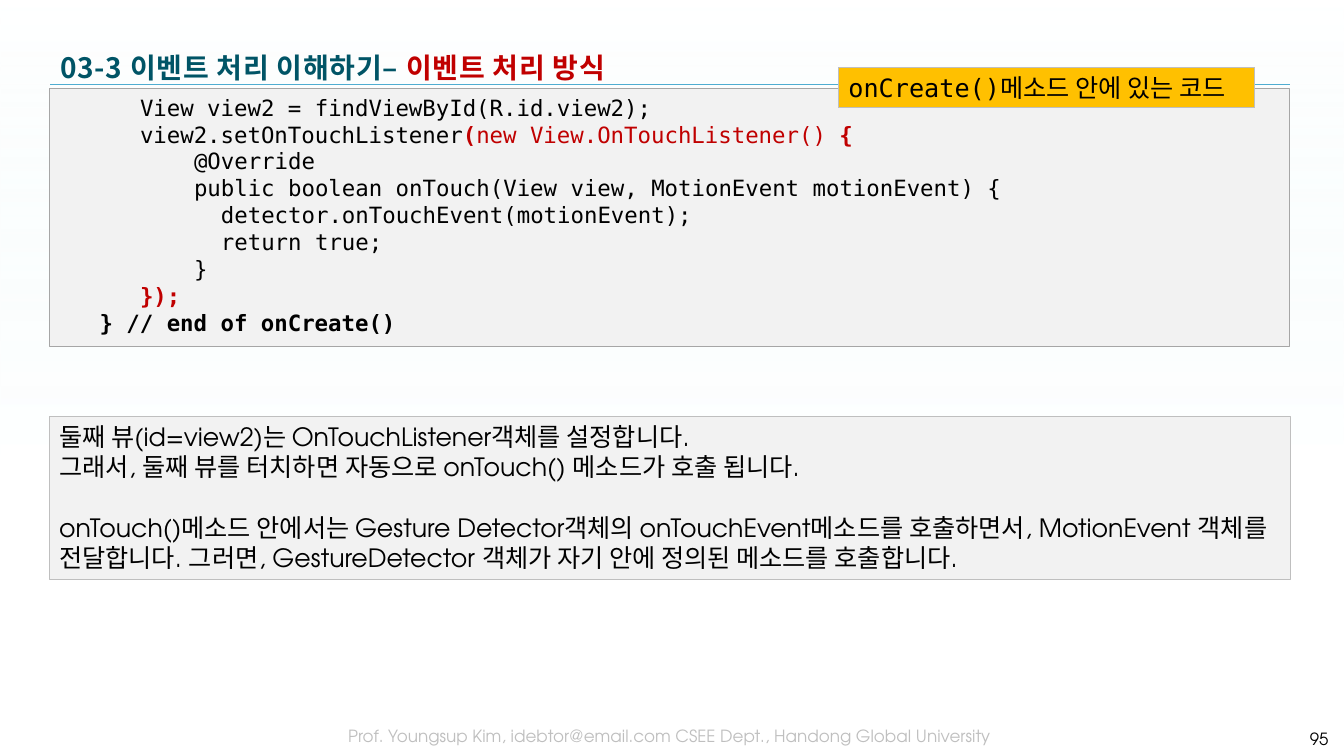
from lxml import etree
from pptx import Presentation
from pptx import util as u
from pptx.dml.color import RGBColor
from pptx.enum import shapes, text
from pptx.oxml.ns import qn

TEAL = RGBColor(0x00, 0x54, 0x66)
RED = RGBColor(0xC0, 0x00, 0x00)
BLACK = RGBColor(0x00, 0x00, 0x00)
WHITE = RGBColor(0xFF, 0xFF, 0xFF)
PALE_AQUA = RGBColor(0xD9, 0xF3, 0xF4)
SKY = RGBColor(0x4F, 0xAD, 0xD1)
PANEL = RGBColor(0xF2, 0xF2, 0xF2)
SILVER = RGBColor(0xBF, 0xBF, 0xBF)
GREY = RGBColor(0xA6, 0xA6, 0xA6)
AMBER = RGBColor(0xFF, 0xC0, 0x00)

MONO, SANS, KOREAN = "DejaVu Sans Mono", "TeX Gyre Adventor", "Noto Sans CJK KR"
CODE_CHAR_CM = 0.34

CODE = [
    (6, [("View view2 = findViewById(R.id.view2);",)]),
    (6, [("view2.setOnTouchListener",), ("(", RED, True),
         ("new View.OnTouchListener() ", RED), ("{", RED, True)]),
    (10, [("@Override",)]),
    (10, [("public boolean onTouch(View view, MotionEvent motionEvent) {",)]),
    (12, [("detector.onTouchEvent(motionEvent);",)]),
    (12, [("return true;",)]),
    (10, [("}",)]),
    (6, [("});", RED, True)]),
    (3, [("} // end of onCreate()", BLACK, True)]),
]
EXPLANATION = [
    "둘째 뷰(id=view2)는 OnTouchListener객체를 설정합니다.",
    "그래서, 둘째 뷰를 터치하면 자동으로 onTouch() 메소드가 호출 됩니다.",
    "onTouch()메소드 안에서는 Gesture Detector객체의 onTouchEvent메소드를 호출하면서, "
    "MotionEvent 객체를 전달합니다. 그러면, GestureDetector 객체가 자기 안에 정의된 "
    "메소드를 호출합니다.",
]


class LectureSlide:
    """Draws the elements of one lecture slide in a shared style."""

    def __init__(self, deck):
        self.slide = deck.slides.add_slide(deck.slide_layouts[6])
        self.width, self.height = deck.slide_width, deck.slide_height

    def backdrop(self):
        wash = self.slide.shapes.add_shape(
            shapes.MSO_SHAPE.RECTANGLE, 0, 0, self.width, self.height)
        wash.shadow.inherit = False
        wash.line.fill.background()
        wash.fill.gradient()
        wash.fill.gradient_angle = 270
        stops = zip(wash.fill.gradient_stops, (PALE_AQUA, WHITE), (0, 0.61))
        for stop, color, position in stops:
            stop.color.rgb, stop.position = color, position
        for color, alpha in zip(wash.element.iter(qn("a:srgbClr")), (0, 40000)):
            etree.SubElement(color, qn("a:alpha")).set("val", str(alpha))

    def rule(self, left, right, y):
        line = self.slide.shapes.add_connector(
            shapes.MSO_CONNECTOR.STRAIGHT, u.Cm(left), u.Cm(y), u.Cm(right), u.Cm(y))
        line.line.color.rgb, line.line.width = SKY, u.Pt(0.25)
        etree.SubElement(line.element.spPr, qn("a:effectLst"))

    def label(self, box, anchor=text.MSO_ANCHOR.TOP):
        frame = self.slide.shapes.add_textbox(*map(u.Cm, box)).text_frame
        frame.word_wrap, frame.vertical_anchor = True, anchor
        return frame

    def panel(self, box, fill, border, wrap=True):
        panel = self.slide.shapes.add_shape(
            shapes.MSO_SHAPE.RECTANGLE, *map(u.Cm, box))
        panel.shadow.inherit = False
        panel.fill.solid()
        panel.fill.fore_color.rgb = fill
        panel.line.color.rgb, panel.line.width = border, u.Pt(0.75)
        frame = panel.text_frame
        frame.word_wrap, frame.vertical_anchor = wrap, text.MSO_ANCHOR.TOP
        frame.auto_size = text.MSO_AUTO_SIZE.SHAPE_TO_FIT_TEXT
        return frame

    def add_lines(self, frame, lines, font, size, color=BLACK, bold=False,
                  align=text.PP_ALIGN.LEFT, spacing=0):
        for number, (indent, pieces) in enumerate(lines):
            paragraph = frame.add_paragraph() if number else frame.paragraphs[0]
            paragraph.alignment = align
            base = paragraph.font
            base.name, base.size, base.bold = font, u.Pt(size), bold
            base.color.rgb = color
            properties = paragraph._p.get_or_add_pPr()
            defaults = properties.find(qn("a:defRPr"))
            etree.SubElement(defaults, qn("a:ea")).set("typeface", KOREAN)
            if spacing:
                defaults.set("spc", str(spacing))
            if indent:
                properties.set("marL", str(u.Cm(indent * CODE_CHAR_CM)))
                properties.set("indent", "0")
            for words, *style in pieces:
                run = paragraph.add_run()
                run.text = words
                if style:
                    run.font.color.rgb = style[0]
                    run.font.bold = len(style) > 1


def main():
    deck = Presentation()
    deck.slide_width, deck.slide_height = u.Cm(33.87), u.Cm(19.05)
    page = LectureSlide(deck)
    page.backdrop()
    page.rule(1.27, 32.51, 2.13)

    footer = page.label((6.17, 18.16, 21.41, 0.91))
    credit = ("Prof. Youngsup Kim, idebtor@email.com CSEE Dept., "
              "Handong Global University")
    page.add_lines(footer, [(0, [(credit,)])], SANS, 12, SILVER,
                   align=text.PP_ALIGN.CENTER)

    title = page.label((1.27, 1.07, 31.24, 1.27), text.MSO_ANCHOR.MIDDLE)
    heading = [("03-3 이벤트 처리 이해하기– ",), ("이벤트 처리 방식", RED, True)]
    page.add_lines(title, [(0, heading)], KOREAN, 20, TEAL, bold=True, spacing=50)

    page_number = page.label((30.76, 18.11, 2.97, 1.02), text.MSO_ANCHOR.MIDDLE)
    page.add_lines(page_number, [(0, [("95",)])], SANS, 12,
                   align=text.PP_ALIGN.RIGHT)

    code = page.panel((1.24, 2.24, 31.27, 6.5), PANEL, GREY)
    page.add_lines(code, CODE, MONO, 16)

    explanation = page.panel((1.24, 10.49, 31.29, 4.11), PANEL, SILVER)
    page.add_lines(explanation, [(0, [(line,)]) for line in EXPLANATION], SANS, 18)
    explanation.paragraphs[-1].space_before = u.Pt(22)

    callout = page.panel((21.13, 1.7, 10.49, 1.02), AMBER, SILVER, wrap=False)
    page.add_lines(callout, [(0, [("onCreate()메소드 안에 있는 코드",)])], MONO, 18)

    deck.save("out.pptx")


if __name__ == "__main__":
    main()
